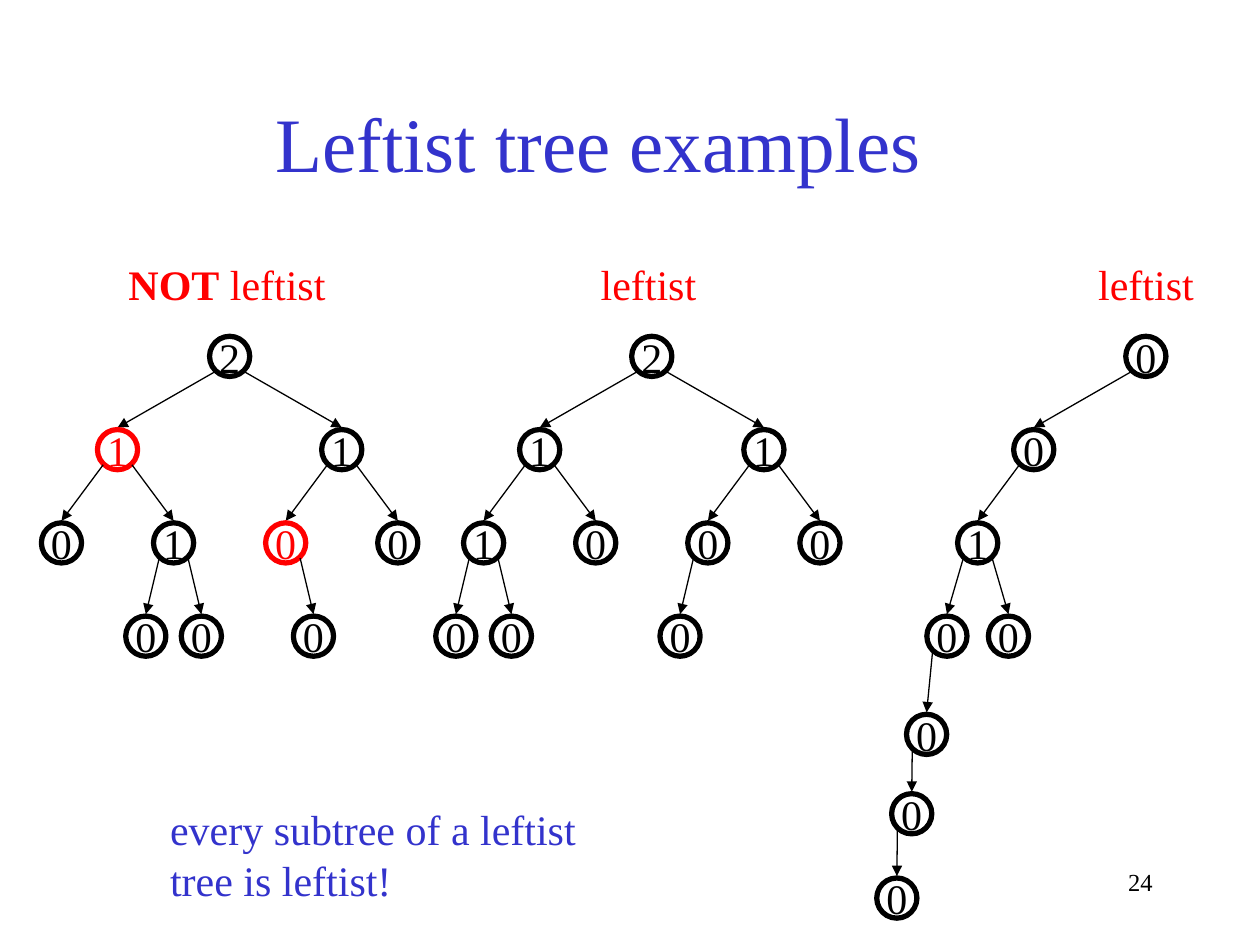
from lxml import etree
from pptx import Presentation
from pptx.dml.color import RGBColor
from pptx.enum.shapes import MSO_CONNECTOR, MSO_SHAPE
from pptx.enum.text import MSO_ANCHOR, MSO_AUTO_SIZE, PP_ALIGN
from pptx.oxml.ns import qn
from pptx.util import Cm, Pt

LEFT, MID, RIGHT = PP_ALIGN.LEFT, PP_ALIGN.CENTER, PP_ALIGN.RIGHT
TOP, CENTER = MSO_ANCHOR.TOP, MSO_ANCHOR.MIDDLE
GROW, FIXED = MSO_AUTO_SIZE.SHAPE_TO_FIT_TEXT, MSO_AUTO_SIZE.NONE
OVAL, LINE = MSO_SHAPE.OVAL, MSO_CONNECTOR.STRAIGHT

HUES = {"ink": "000000", "red": "FF0000", "blue": "3333CC"}
FACE = "Times New Roman"

SIZE = 0.81                                  # node diameter, cm
TOPS = [6.78, 8.66, 10.54, 12.42, 14.4, 16, 17.7]   # node top by level
EVEN = [2.26, 1.13, 0.56]                    # child offset by level
DEEP = [2.26, 1.13, 0.62, 0.41, 0.3, 0.3]


def color(hue):
    return RGBColor.from_string(HUES[hue])


def style(run, hue, **extra):
    look = {"name": FACE, "size": Pt(24), **extra}
    for key, val in look.items():
        setattr(run.font, key, val)
    run.font.color.rgb = color(hue)


def label(slide, box, lines, hue, wrap=False, align=LEFT, anchor=TOP, **look):
    """Text box; each line is a list of (text, bold) runs."""
    frame = slide.shapes.add_textbox(*map(Cm, box)).text_frame
    frame.word_wrap = wrap
    frame.auto_size = FIXED if wrap else GROW
    frame.vertical_anchor = anchor
    for i, line in enumerate(lines):
        para = frame.paragraphs[0] if i == 0 else frame.add_paragraph()
        para.alignment = align
        for text, bold in line:
            run = para.add_run()
            run.text = text
            style(run, hue, bold=bold, **look)


def node(val, left=None, right=None, hue="ink"):
    return {"val": val, "kids": [(-1, left), (1, right)], "hue": hue}


def circle(slide, x, y, val, hue):
    shape = slide.shapes.add_shape(OVAL, Cm(x - SIZE / 2), Cm(y),
                                   Cm(SIZE), Cm(SIZE))
    shape.shadow.inherit = False
    shape.fill.background()
    shape.line.color.rgb = color(hue)
    shape.line.width = Pt(3)
    frame = shape.text_frame
    frame.word_wrap = False
    frame.vertical_anchor = CENTER
    para = frame.paragraphs[0]
    para.alignment = MID
    run = para.add_run()
    run.text = str(val)
    style(run, hue)


def arrow(slide, x1, y1, x2, y2):
    link = slide.shapes.add_connector(LINE, *map(Cm, (x1, y1, x2, y2)))
    link.line.color.rgb = color("ink")
    link.line.width = Pt(0.75)
    etree.SubElement(link.line._get_or_add_ln(), qn("a:tailEnd"),
                     type="triangle")
    etree.SubElement(link._element.spPr, qn("a:effectLst"))


def tree(slide, top, x, gaps, level=0):
    """Draw a node, then its children with arrows from its lower corners."""
    y = TOPS[level]
    circle(slide, x, y, top["val"], top["hue"])
    for side, kid in top["kids"]:
        if kid:
            end = x + side * gaps[level]
            arrow(slide, x + side * 0.29, y + 0.71, end, TOPS[level + 1] - 0.04)
            tree(slide, kid, end, gaps, level + 1)


def main():
    deck = Presentation()
    deck.slide_width, deck.slide_height = Cm(25.4), Cm(19.05)
    slide = deck.slides.add_slide(deck.slide_layouts[6])

    # Title and page number
    label(slide, (1.27, 1.27, 21.59, 3.18), [[("Leftist tree examples", False)]],
          "blue", wrap=True, align=MID, anchor=CENTER, size=Pt(44))
    label(slide, (18.21, 17.35, 5.28, 1.27), [[("24", False)]],
          "ink", wrap=True, align=RIGHT, size=Pt(14))

    # Verdict above each tree
    plain = [("leftist", False)]
    label(slide, (2.34, 5.08, 4.5, 1.27),
          [[("NOT", True), (" leftist", False)]], "red")
    for x in (11.86, 21.89):
        label(slide, (x, 5.08, 2.44, 1.27), [plain], "red")

    # Trees
    leaf = node(0)
    pair = node(1, leaf, leaf)
    chain = node(0, node(0, node(0, leaf)))
    wrong = node(2, node(1, leaf, pair, "red"),
                 node(1, node(0, None, leaf, "red"), leaf))
    good = node(2, node(1, pair, leaf), node(1, node(0, leaf), leaf))
    long = node(0, node(0, node(1, chain, leaf)))
    for top, x, gaps in ((wrong, 4.63, EVEN), (good, 13.14, EVEN),
                         (long, 23.1, DEEP)):
        tree(slide, top, x, gaps)

    # Closing remark
    label(slide, (3.18, 16.08, 8.97, 2.31),
          [[("every subtree of a leftist", False)],
           [("tree is leftist!", False)]], "blue")

    deck.save("out.pptx")


if __name__ == "__main__":
    main()
